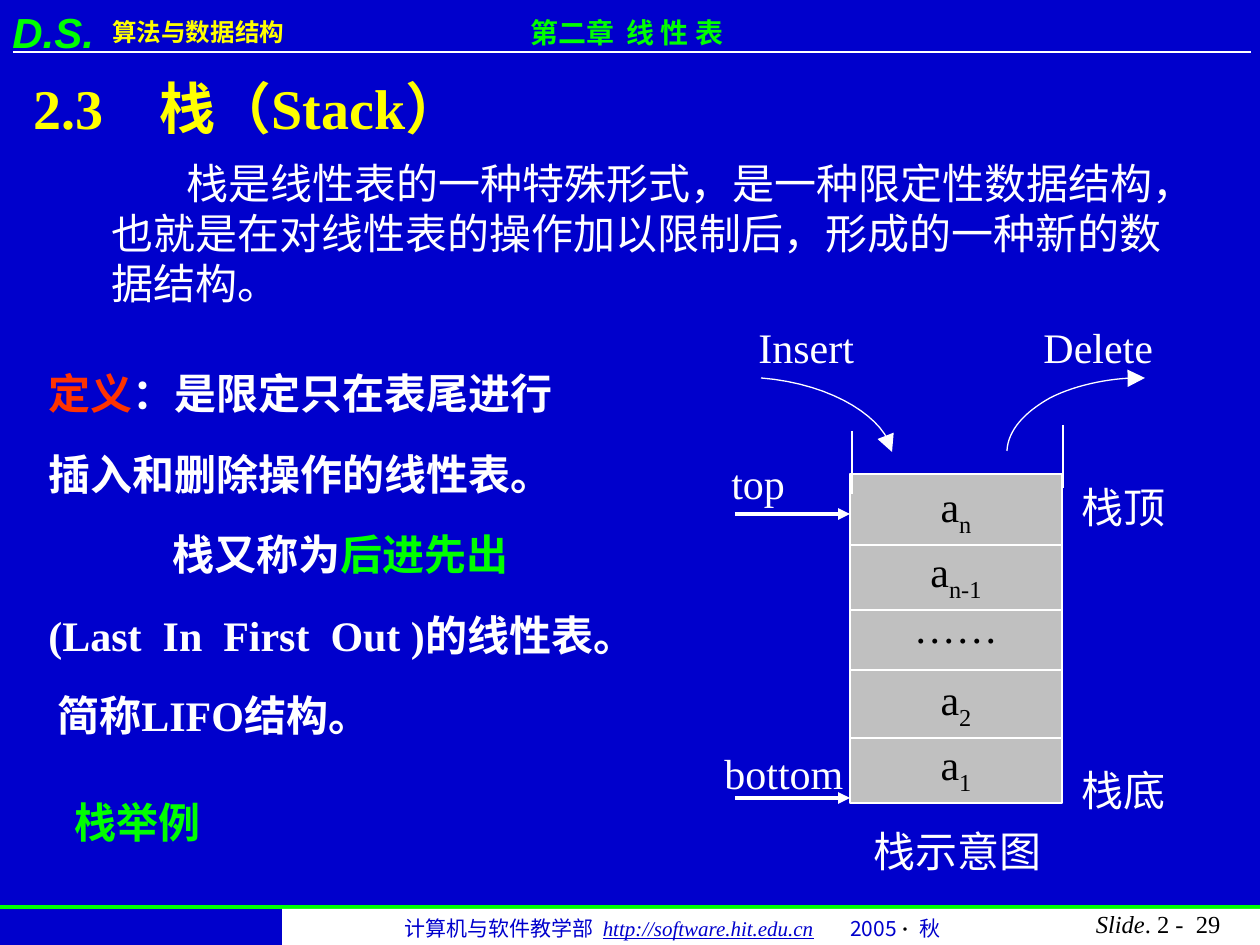
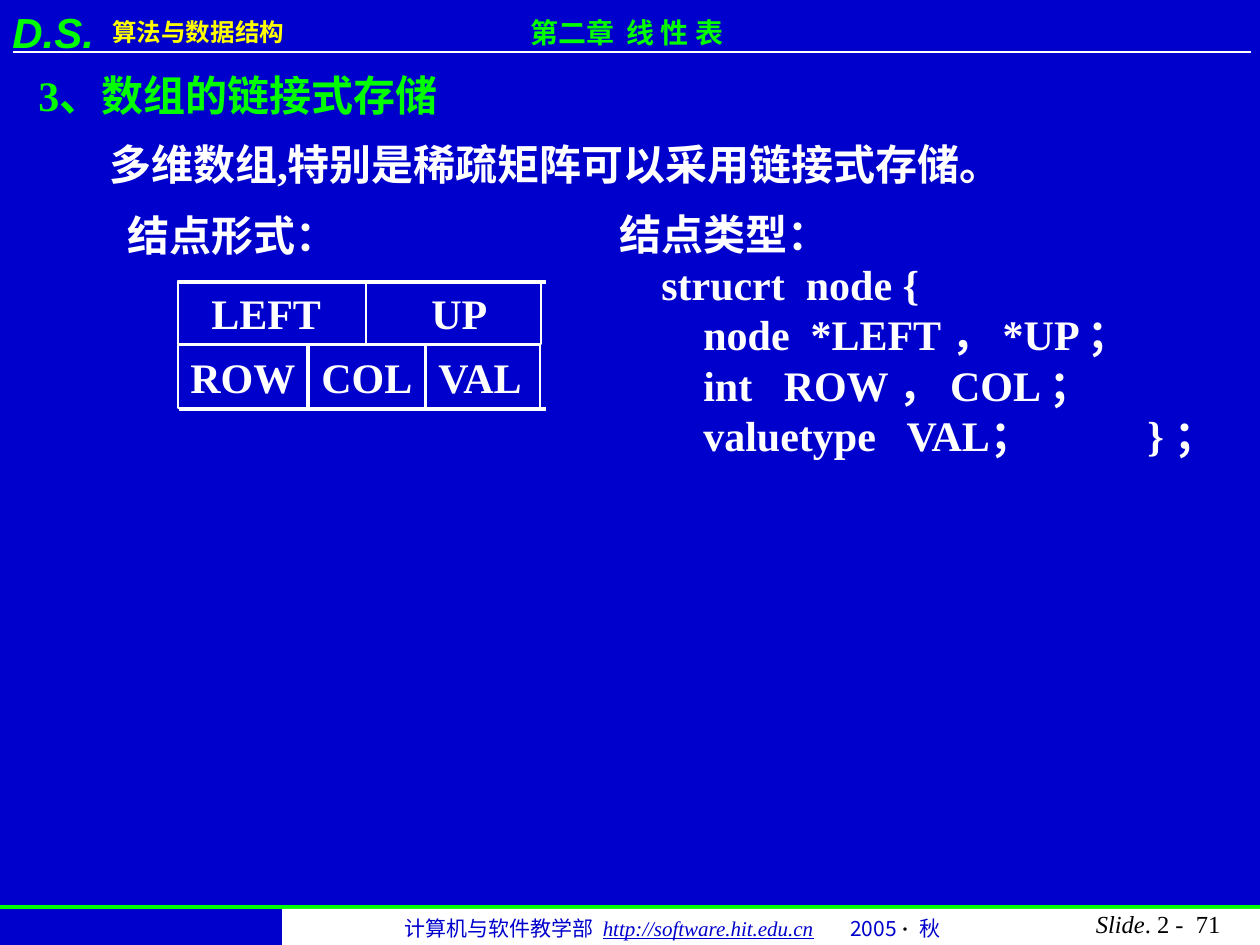
from dataclasses import dataclass, field
from typing import Any

from lxml import etree
from pptx import Presentation
from pptx.dml.color import RGBColor
from pptx.enum.shapes import MSO_CONNECTOR, MSO_SHAPE
from pptx.enum.text import MSO_ANCHOR, MSO_AUTO_SIZE, PP_ALIGN
from pptx.oxml.ns import qn
from pptx.util import Emu, Pt

RECTANGLE = MSO_SHAPE.RECTANGLE
STRAIGHT = MSO_CONNECTOR.STRAIGHT
LEFT, CENTER, RIGHT = PP_ALIGN.LEFT, PP_ALIGN.CENTER, PP_ALIGN.RIGHT
TOP, MIDDLE = MSO_ANCHOR.TOP, MSO_ANCHOR.MIDDLE
FIT_SHAPE = MSO_AUTO_SIZE.SHAPE_TO_FIT_TEXT

EMU_PER_PX = 914400 / 126
PAGE_WIDTH, PAGE_HEIGHT = 1260, 945
Point = tuple[float, float]


@dataclass(frozen=True)
class Theme:
    blue: str = "0000CC"
    white: str = "FFFFFF"
    black: str = "000000"
    green: str = "00FF00"
    yellow: str = "FFFF00"
    red: str = "FF3300"
    gray: str = "C0C0C0"
    serif: str = "Times New Roman"
    sans: str = "Arial"
    chinese: str = "Noto Sans CJK SC"
    title: int = 32
    body: int = 24
    chapter: int = 16
    small: int = 14
    footer: int = 12
    thin: float = 0.75
    rule: float = 2
    thick: float = 2.25


THEME = Theme()


@dataclass(frozen=True)
class Span:
    text: str
    color: str = THEME.white
    size: int = THEME.body
    font: str = THEME.serif
    style: dict[str, Any] = field(default_factory=dict)


@dataclass(frozen=True)
class Para:
    spans: list[Span]
    indent: int = 0
    tab: int = 0
    align: PP_ALIGN = LEFT
    spacing: float = 1.0


@dataclass(frozen=True)
class Box:
    left: int
    top: int
    width: int
    height: int
    paras: list[Para] = field(default_factory=list)
    wrap: bool = False
    anchor: MSO_ANCHOR = TOP
    fill: str = ""
    line: str = ""


@dataclass(frozen=True)
class Line:
    start: Point
    end: Point
    color: str = THEME.white
    weight: float = THEME.thin
    arrow: bool = False


BOLD = {"bold": True}


def px(length: float) -> Emu:
    return Emu(round(length * EMU_PER_PX))


def color_of(value: str) -> RGBColor:
    return RGBColor.from_string(value)


# Text
def write_span(para: Any, span: Span) -> None:
    run = para.add_run()
    run.text = span.text
    values = {"name": span.font, "size": Pt(span.size), "bold": False} | span.style
    baseline = values.pop("baseline", None)
    for name, value in values.items():
        setattr(run.font, name, value)
    run.font.color.rgb = color_of(span.color)
    properties = run.font._element
    etree.SubElement(properties, qn("a:ea")).set("typeface", THEME.chinese)
    if baseline:
        properties.set("baseline", str(baseline))


def write_text(shape: Any, box: Box) -> None:
    frame = shape.text_frame
    values = {"word_wrap": box.wrap, "auto_size": FIT_SHAPE, "vertical_anchor": box.anchor}
    if not box.wrap:
        values["margin_right"] = 0  # spare room keeps single lines whole
    for name, value in values.items():
        setattr(frame, name, value)
    for index, content in enumerate(box.paras):
        para = frame.add_paragraph() if index else frame.paragraphs[0]
        para.alignment = content.align
        para.line_spacing = content.spacing
        properties = para._p.get_or_add_pPr()
        if content.indent:
            properties.set("indent", str(px(content.indent)))
        if content.tab:
            tabs = etree.SubElement(properties, qn("a:tabLst"))
            etree.SubElement(tabs, qn("a:tab"), pos=str(px(content.tab)), algn="l")
        for span in content.spans:
            write_span(para, span)


def draw_box(page: Any, box: Box) -> None:
    place = [px(value) for value in (box.left, box.top, box.width, box.height)]
    if box.fill or box.line:
        shape = page.shapes.add_shape(RECTANGLE, *place)
        shape.shadow.inherit = False
        shape.fill.background()
        if box.fill:
            shape.fill.solid()
            shape.fill.fore_color.rgb = color_of(box.fill)
        shape.line.fill.background()
        if box.line:
            shape.line.color.rgb = color_of(box.line)
            shape.line.width = Pt(THEME.thin)
    else:
        shape = page.shapes.add_textbox(*place)
    if box.paras:
        write_text(shape, box)


def label(text: str, left: int, top: int, width: int, **style: Any) -> Box:
    color = style.pop("color", THEME.white)
    return Box(left, top, width, 63, [Para([Span(text, color, style=style)])])


# Lines and arrows
def add_arrowhead(shape: Any, size: str = "med") -> None:
    outline = shape._element.spPr.find(qn("a:ln"))
    etree.SubElement(outline, qn("a:tailEnd"), type="triangle", w=size, len=size)


def draw_line(page: Any, line: Line) -> None:
    ends = [px(value) for value in (*line.start, *line.end)]
    connector = page.shapes.add_connector(STRAIGHT, *ends)
    connector.line.color.rgb = color_of(line.color)
    connector.line.width = Pt(line.weight)
    if line.arrow:
        add_arrowhead(connector)
    etree.SubElement(connector._element.spPr, qn("a:effectLst"))


def curve_point(controls: list[Point], t: float) -> Point:
    weights = ((1 - t) ** 3, 3 * t * (1 - t) ** 2, 3 * t * t * (1 - t), t ** 3)
    x, y = (sum(w * p[axis] for w, p in zip(weights, controls)) for axis in (0, 1))
    return px(x), px(y)


def draw_curved_arrow(page: Any, controls: list[Point], steps: int = 16) -> None:
    points = [curve_point(controls[first:first + 4], step / steps)
              for first in range(0, len(controls) - 1, 3) for step in range(1, steps + 1)]
    builder = page.shapes.build_freeform(*(px(value) for value in controls[0]), scale=1.0)
    builder.add_line_segments(points, close=False)
    curve = builder.convert_to_shape()
    curve.shadow.inherit = False
    curve.fill.background()
    curve.line.color.rgb = color_of(THEME.white)
    curve.line.width = Pt(THEME.thin)
    add_arrowhead(curve, "lg")


# Header and footer shared by all pages
def add_page(deck: Any, number: int) -> Any:
    page = deck.slides.add_slide(deck.slide_layouts[6])
    page.background.fill.solid()
    page.background.fill.fore_color.rgb = color_of(THEME.blue)
    course = Span("算法与数据结构", THEME.yellow, THEME.small, THEME.chinese, BOLD)
    mark = Span("D.S.", THEME.green, THEME.body, THEME.sans, BOLD | {"italic": True})
    chapter = Span("第二章  线 性 表", THEME.green, THEME.chapter, style=BOLD)
    link_style = {"italic": True, "underline": True}
    footer = [
        Span("计算机与软件教学部  ", THEME.blue, THEME.footer, THEME.chinese),
        Span("http://software.hit.edu.cn", THEME.blue, THEME.footer, style=link_style),
        Span("\t2005 ", THEME.blue, THEME.footer, THEME.chinese),
        Span("·  ", THEME.black, THEME.footer, style=BOLD),
        Span("秋", THEME.blue, THEME.footer, THEME.chinese),
    ]
    counter = [
        Span("Slide", THEME.black, THEME.small, style={"italic": True}),
        Span(f". 2 -  {number}", THEME.black, THEME.small),
    ]
    draw_line(page, Line((13, 52), (1251, 52)))
    draw_line(page, Line((0, 907), (PAGE_WIDTH, 907), THEME.green, THEME.rule))
    for box in (
        Box(94, 11, 242, 43, [Para([course], indent=6)], True),
        Box(0, 0, 126, 63, [Para([mark])], True),
        Box(518, 9, 248, 47, [Para([chapter])], True),
        Box(282, 909, 978, 36, fill=THEME.white),
        Box(392, 909, 595, 38, [Para(footer, tab=446)], True),
        Box(1047, 903, 186, 43, [Para(counter, align=RIGHT)], True),
    ):
        draw_box(page, box)
    return page


# Stack: definition and diagram
def build_stack_page(deck: Any) -> None:
    page = add_page(deck, 29)
    title = Span("2.3\t栈（Stack）", THEME.yellow, THEME.title, style=BOLD)
    draw_box(page, Box(21, 67, 480, 81, [Para([title], tab=126)]))
    draw_box(page, Box(99, 151, 1108, 164, [
        Para([Span("栈是线性表的一种特殊形式，是一种限定性数据结构，")], indent=75),
        Para([Span("也就是在对线性表的操作加以限制后，形成的一种新的数")]),
        Para([Span("据结构。")]),
    ]))
    definition = [
        (0, [("定义", THEME.red), ("：是限定只在表尾进行", THEME.white)]),
        (0, [("插入和删除操作的线性表。", THEME.white)]),
        (124, [("栈又称为", THEME.white), ("后进先出", THEME.green)]),
        (0, [("(Last  In  First  Out )的线性表。", THEME.white)]),
        (9, [("简称LIFO结构。", THEME.white)]),
    ]
    draw_box(page, Box(36, 331, 621, 416, [
        Para([Span(text, color, style=BOLD) for text, color in parts], indent, spacing=1.6)
        for indent, parts in definition
    ]))
    draw_box(page, label("栈举例", 62, 790, 151, color=THEME.green, bold=True))

    # Stack cells, lowest first
    subscript = {"baseline": -25000}
    for base, index, top, height in (
        ("a", "1", 732, 71), ("a", "2", 667, 71), ("······", "", 607, 63),
        ("a", "n-1", 539, 71), ("a", "n", 474, 71),
    ):
        spans = [Span(base, THEME.black)]
        if index:
            spans.append(Span(index, THEME.black, style=subscript))
        draw_box(page, Box(850, top, 212, height, [Para(spans, align=CENTER)], True,
                           MIDDLE, THEME.gray, THEME.white))
    for x, top in ((852, 431), (1063, 425)):
        draw_line(page, Line((x, top), (x, top + 63)))
    draw_curved_arrow(page, [(761, 378), (835, 384), (887, 420), (892, 452)])
    draw_curved_arrow(page, [(1007, 451), (1008, 430), (1025, 412), (1050, 398),
                             (1077, 384), (1115, 377), (1145, 378)])
    for y in (514, 798):
        draw_line(page, Line((735, y), (850, y), weight=THEME.thick, arrow=True))
    for text, left, top, width in (
        ("Insert", 746, 315, 121), ("Delete", 1031, 315, 135), ("top", 719, 451, 78),
        ("bottom", 712, 741, 144), ("栈底", 1069, 758, 108), ("栈顶", 1069, 475, 108),
        ("栈示意图", 861, 819, 193),
    ):
        draw_box(page, label(text, left, top, width))


# Linked storage of arrays: node layout and node type
def build_linked_storage_page(deck: Any) -> None:
    page = add_page(deck, 71)
    draw_box(page, label("3、数组的链接式存储", 26, 63, 433, color=THEME.green, bold=True))
    draw_box(page, label("多维数组,特别是稀疏矩阵可以采用链接式存储。", 97, 132, 937, bold=True))
    for text, left, top, width, indent in (
        ("LEFT", 178, 281, 188, 21), ("UP", 366, 281, 175, 53),
        ("ROW", 178, 345, 129, 0), ("COL", 309, 345, 116, 0), ("VAL", 426, 345, 114, 0),
    ):
        para = Para([Span(text, style=BOLD)], indent)
        draw_box(page, Box(left, top, width, 63, [para], indent > 0, line=THEME.white))
    for y in (409, 282):
        draw_line(page, Line((179, y), (546, y), weight=THEME.thick))
    draw_box(page, label("结点形式：", 115, 203, 234, bold=True))
    node_type = (
        "结点类型：",
        "    strucrt  node {",
        "        node  *LEFT ， *UP ；",
        "        int   ROW ， COL ；",
        "        valuetype   VAL；\t} ；",
    )
    draw_box(page, Box(607, 202, 639, 265, [
        Para([Span(text, style=BOLD)], tab=528 if "\t" in text else 0) for text in node_type
    ]))


def main() -> None:
    deck = Presentation()
    deck.slide_width, deck.slide_height = px(PAGE_WIDTH), px(PAGE_HEIGHT)
    build_stack_page(deck)
    build_linked_storage_page(deck)
    deck.save("out.pptx")


if __name__ == "__main__":
    main()
